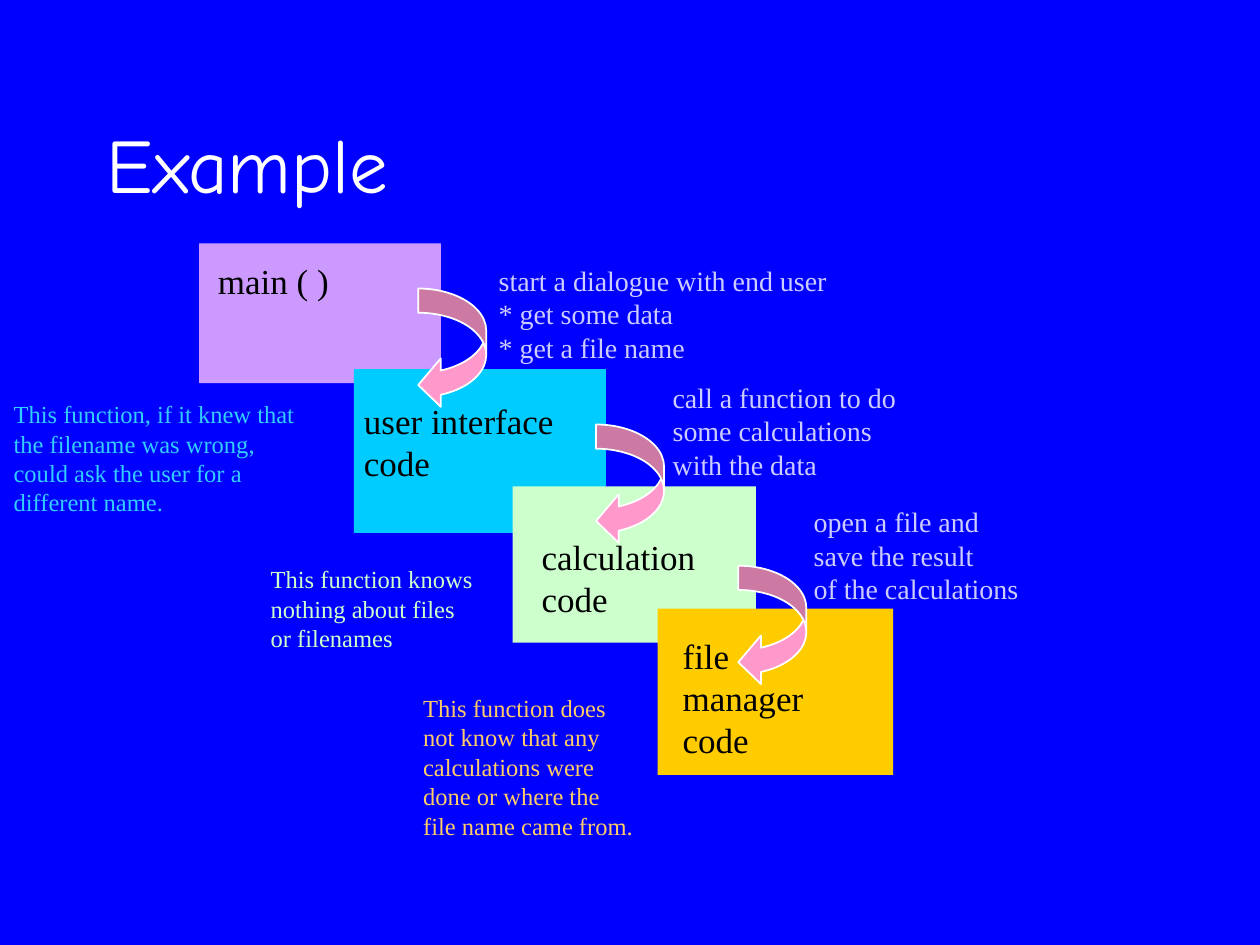
from pptx import Presentation
from pptx.dml.color import RGBColor
from pptx.enum.shapes import MSO_SHAPE as Shape
from pptx.enum.text import MSO_ANCHOR as Anchor
from pptx.util import Pt

BLUE = RGBColor(0x00, 0x00, 0xFF)
WHITE = RGBColor(0xFF, 0xFF, 0xFF)
BLACK = RGBColor(0x00, 0x00, 0x00)
PURPLE = RGBColor(0xCC, 0x99, 0xFF)
CYAN = RGBColor(0x00, 0xCC, 0xFF)
MINT = RGBColor(0xCC, 0xFF, 0xCC)
GOLD = RGBColor(0xFF, 0xCC, 0x00)
PINK = RGBColor(0xFF, 0x99, 0xCC)
LAVENDER = RGBColor(0xCC, 0xCC, 0xFF)
SAND = RGBColor(0xFF, 0xCC, 0x66)
SKY = RGBColor(0x33, 0xCC, 0xFF)

TITLE_FONT = "Comic Neue"
BODY_FONT = "Times New Roman"

MODULES = [
    (PURPLE, (113.8, 139, 138.2, 79.9), "main ( )", (117.4, 144.7, 82.8, 31)),
    (CYAN, (202.3, 211, 144, 93.6), "user interface\ncode", (200.9, 224.6, 149, 55.4)),
    (MINT, (293, 277.9, 139, 89.3), "calculation\ncode", (302.4, 302.4, 113, 55.4)),
    (GOLD, (375.8, 347.8, 134.6, 95), "file\nmanager\ncode", (383, 359.3, 92.2, 79.2)),
]

CALLS = [
    ((239, 164.9), "start a dialogue with end user\n* get some data\n* get a file name",
     (277.9, 146.9, 236.9, 64.8)),
    ((340.6, 242.6), "call a function to do\nsome calculations\nwith the data",
     (377.3, 213.8, 164.2, 65.5)),
    ((421.9, 323.3), "open a file and\nsave the result\nof the calculations",
     (457.9, 284.8, 152.6, 64.8)),
]

REMARKS = [
    (SAND, "This function does\nnot know that any\ncalculations were\ndone or where the\n"
     "file name came from.", (234.7, 392.4, 151.9, 92.2)),
    (MINT, "This function knows\nnothing about files\nor filenames",
     (147.6, 319, 145.4, 58.3)),
    (SKY, "This function, if it knew that\nthe filename was wrong,\n"
     "could ask the user for a\ndifferent name.", (0.7, 224.6, 205.9, 74.9)),
]


def add_text(s, text, box, size, color, font=BODY_FONT, anchor=Anchor.TOP):
    tf = s.shapes.add_textbox(*map(Pt, box)).text_frame
    tf.word_wrap = True
    tf.vertical_anchor = anchor
    tf.text = text
    for p in tf.paragraphs:
        for r in p.runs:
            r.font.name = font
            r.font.size = Pt(size)
            r.font.color.rgb = color


def add_filled(s, kind, box, fill):
    sp = s.shapes.add_shape(kind, *map(Pt, box))
    sp.shadow.inherit = False
    sp.fill.solid()
    sp.fill.fore_color.rgb = fill
    sp.line.fill.background()
    return sp


def add_call_arrow(s, left, top):
    sp = add_filled(s, Shape.CURVED_LEFT_ARROW, (left, top, 38.9, 69), PINK)
    for i, value in enumerate((0.356, 0.712, 0.333)):
        sp.adjustments[i] = value
    sp.line.color.rgb = WHITE
    sp.line.width = Pt(1)


def main():
    prs = Presentation()
    prs.slide_width, prs.slide_height = Pt(720), Pt(540)
    s = prs.slides.add_slide(prs.slide_layouts[6])
    s.background.fill.solid()
    s.background.fill.fore_color.rgb = BLUE

    add_text(s, "Example", (54, 48, 636.5, 90), 44, WHITE, TITLE_FONT, Anchor.MIDDLE)
    for fill, box, label, label_box in MODULES:
        add_filled(s, Shape.RECTANGLE, box, fill)
        add_text(s, label, label_box, 20, BLACK)
    for arrow_at, text, text_box in CALLS:
        add_call_arrow(s, *arrow_at)
        add_text(s, text, text_box, 16, LAVENDER)
    for color, text, box in REMARKS:
        add_text(s, text, box, 14, color)

    prs.save("out.pptx")


if __name__ == "__main__":
    main()
